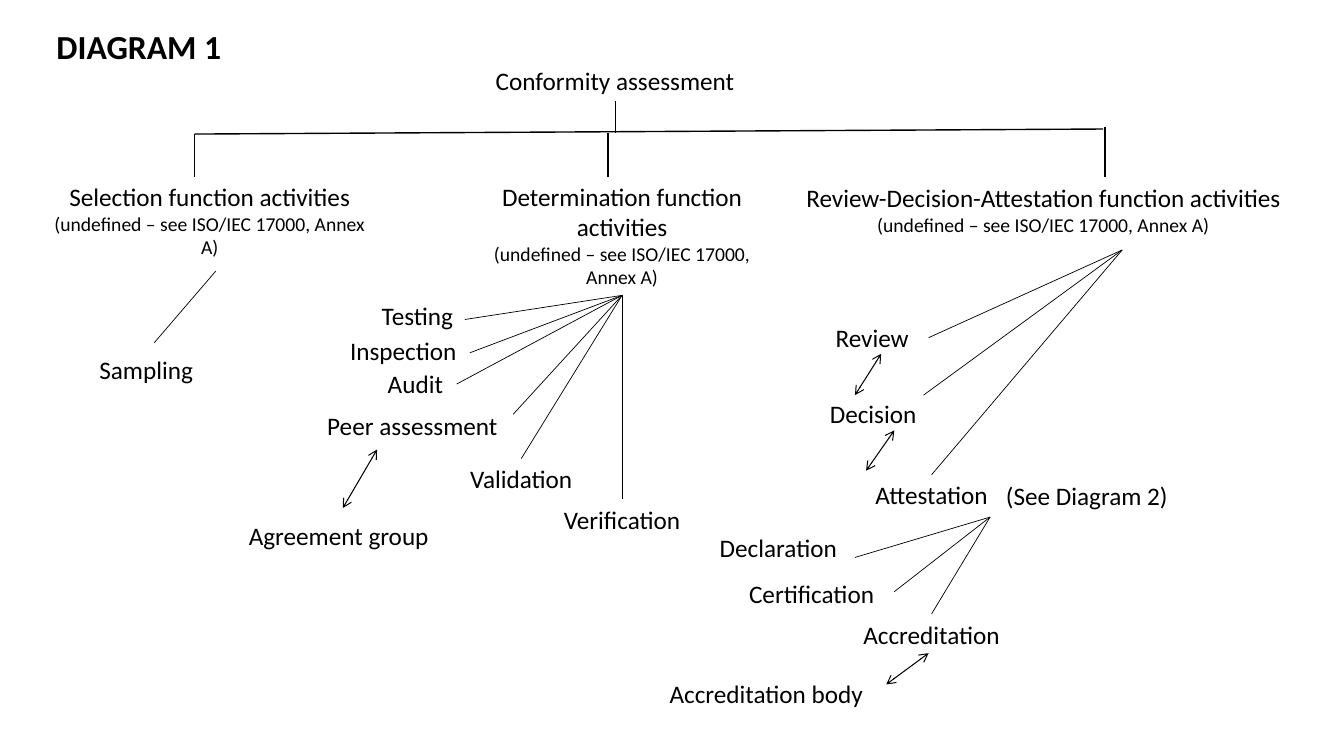
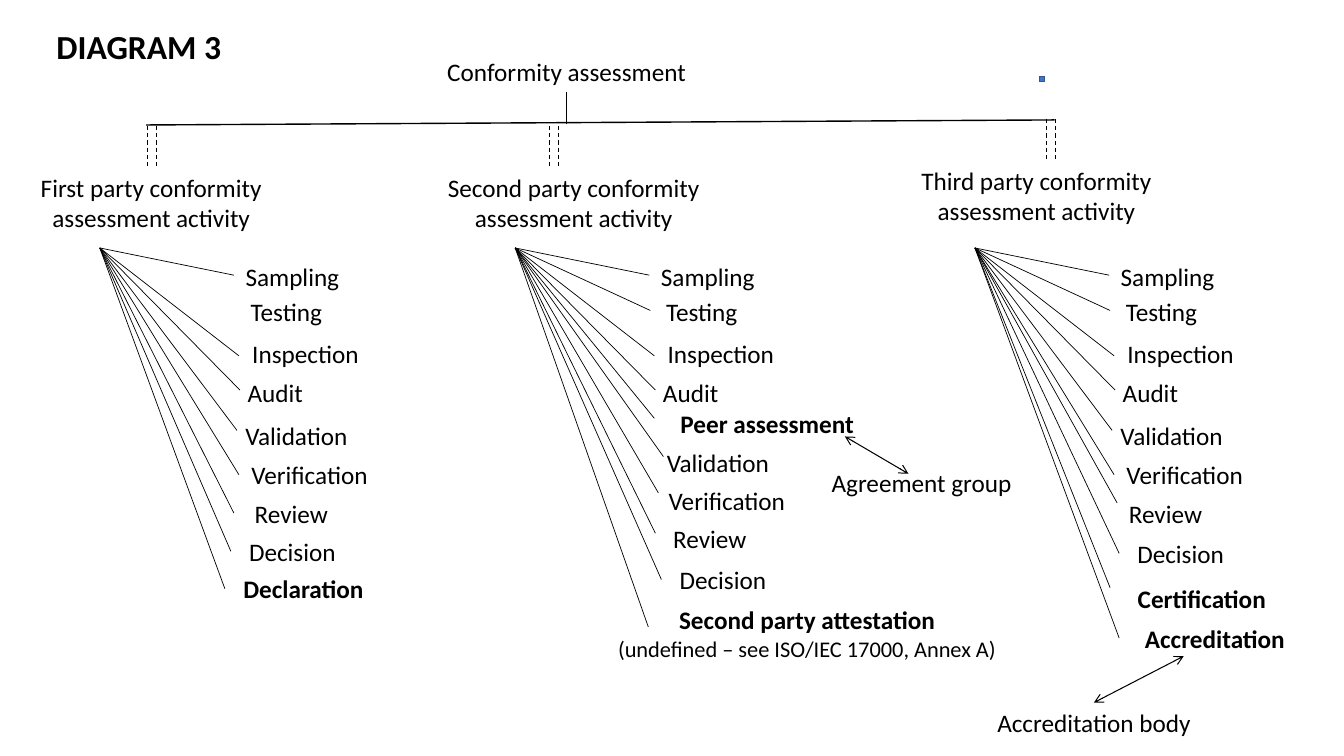
from collections import namedtuple

from lxml.etree import SubElement
from pptx import Presentation
from pptx.dml.color import RGBColor
from pptx.enum.dml import MSO_LINE
from pptx.enum.shapes import MSO_CONNECTOR, MSO_SHAPE
from pptx.enum.text import PP_ALIGN
from pptx.oxml.ns import qn
from pptx.util import Pt

PX = 9144
SLIDE_WIDTH, SLIDE_HEIGHT = 1333, 750
BLACK = RGBColor(0x00, 0x00, 0x00)
BLUE = RGBColor(0x44, 0x72, 0xC4)
DARK_BLUE = RGBColor(0x32, 0x54, 0x91)
FONT = "Calibri"
LABEL_WIDTH, LABEL_HEIGHT = 220, 40
HEADING_WIDTH = 300
THIN, MEDIUM, THICK = Pt(0.5), Pt(0.75), Pt(1)
NOTE = "(undefined – see ISO/IEC 17000, Annex A)"

# Centre, top and line end are measured from the hub of the fan.
Branch = namedtuple("Branch", "text centre top end width bold note",
                    defaults=(LABEL_WIDTH, False, None))

SELECTION = [Branch("Sampling", -69, 78, (-61, 71))]
DETERMINATION = [
    Branch("Testing", -203, 0, (-156, 24)),
    Branch("Inspection", -217, 35, (-151, 57)),
    Branch("Audit", -205, 68, (-164, 88)),
    Branch("Peer assessment", -208, 109, (-108, 118)),
    Branch("Validation", -100, 162, (-100, 162)),
    Branch("Verification", 0, 202, (0, 202)),
]
REVIEW = [
    Branch("Review", -248, 67, (-192, 87), 112),
    Branch("Decision", -247, 142, (-197, 144)),
    Branch("Attestation", -189, 223, (-189, 223)),
]
ATTESTATION = [
    Branch("Declaration", -210, 10, (-134, 40)),
    Branch("Certification", -177, 56, (-95, 74)),
    Branch("Accreditation", -58, 96, (-58, 96)),
]

SHARED_START = [
    Branch("Sampling", 191, 8, (133, 27)),
    Branch("Testing", 185, 43, (134, 62)),
    Branch("Inspection", 204, 85, (138, 107)),
    Branch("Audit", 174, 123, (139, 141)),
]
SHARED_CHECKS = [
    Branch("Validation", 195, 166, (136, 181)),
    Branch("Verification", 208, 205, (138, 225)),
]
FIRST_PARTY = SHARED_START + SHARED_CHECKS + [
    Branch("Review", 190, 243, (133, 263)),
    Branch("Decision", 191, 281, (130, 301)),
    Branch("Declaration", 202, 318, (124, 338), bold=True),
]
SECOND_PARTY = SHARED_START + [
    Branch("Peer assessment", 250, 154, (138, 169), bold=True),
    Branch("Validation", 201, 193, (147, 207)),
    Branch("Verification", 210, 231, (142, 243)),
    Branch("Review", 193, 268, (139, 283)),
    Branch("Decision", 206, 309, (145, 329)),
    Branch("Second party attestation", 289, 349, (132, 376), 413, True, (NOTE, 16)),
]
THIRD_PARTY = SHARED_START + SHARED_CHECKS + [
    Branch("Review", 189, 243, (141, 253)),
    Branch("Decision", 204, 283, (143, 303)),
    Branch("Certification", 225, 328, (134, 337), bold=True),
    Branch("Accreditation", 238, 367, (143, 387), bold=True),
]


def set_values(target, values):
    for name, value in values.items():
        setattr(target, name, value)


def write_paragraph(paragraph, text, size, bold=False, alignment=PP_ALIGN.CENTER):
    paragraph.alignment = alignment
    run = paragraph.add_run()
    run.text = text
    set_values(run.font, {"name": FONT, "size": Pt(size), "bold": bold})
    run.font.color.rgb = BLACK


def add_label(slide, text, centre, top, width=LABEL_WIDTH, height=LABEL_HEIGHT,
              bold=False, note=None):
    """Centre a label on a column; note is an optional (text, size) below it."""
    box = slide.shapes.add_textbox(
        (centre - width // 2) * PX, top * PX, width * PX, height * PX)
    box.text_frame.word_wrap = True
    write_paragraph(box.text_frame.paragraphs[0], text, 18, bold)
    if note:
        write_paragraph(box.text_frame.add_paragraph(), *note)
    return box


def side_middles(box):
    """Map the middle of each side to its connection site."""
    middle_x, middle_y = box.left + box.width // 2, box.top + box.height // 2
    return {
        (middle_x, box.top): 0,
        (box.left, middle_y): 1,
        (middle_x, box.top + box.height): 2,
        (box.left + box.width, middle_y): 3,
    }


def add_line(slide, start, end, weight=THIN, boxes=(), dashed=False, arrows=False):
    """Draw a line and join it to those boxes whose side middle it meets."""
    start, end = [(x * PX, y * PX) for x, y in (start, end)]
    connector = slide.shapes.add_connector(MSO_CONNECTOR.STRAIGHT, *start, *end)
    connector.line.width = weight
    connector.line.color.rgb = BLACK
    if dashed:
        connector.line.dash_style = MSO_LINE.DASH
    if arrows:
        for tag in ("a:headEnd", "a:tailEnd"):
            SubElement(connector.line._get_or_add_ln(), qn(tag), type="arrow")
    SubElement(connector._element.spPr, qn("a:effectLst"))
    for box in boxes:
        sites = side_middles(box)
        if start in sites:
            connector.begin_connect(box, sites[start])
        if end in sites:
            connector.end_connect(box, sites[end])


def add_double_arrow(slide, start, end, boxes=()):
    add_line(slide, start, end, MEDIUM, boxes, arrows=True)


def add_title(slide, text):
    box = slide.shapes.add_textbox(56 * PX, 25 * PX, 1202 * PX, 46 * PX)
    set_values(box.text_frame, {"margin_left": 0, "margin_right": 0, "word_wrap": True})
    paragraph = box.text_frame.paragraphs[0]
    paragraph.line_spacing = 0.9
    write_paragraph(paragraph, text, 24, True, PP_ALIGN.LEFT)


def add_root(slide, left, top):
    """Draw the root label, its stem and the slightly tilted bar below."""
    centre = left + 417
    label = add_label(slide, "Conformity assessment", centre, top, 350)
    add_line(slide, (centre, top + LABEL_HEIGHT), (centre, top + 72), boxes=[label])
    add_line(slide, (left, top + 73), (left + 901, top + 68), THICK)


def add_fan(slide, hub, branches, hub_box=None, unlinked=()):
    """Spread lines from a hub to labels placed relative to it."""
    hub_x, hub_y = hub
    for branch in branches:
        label = add_label(slide, branch.text, hub_x + branch.centre, hub_y + branch.top,
                          branch.width, LABEL_HEIGHT + 30 * bool(branch.note),
                          branch.bold, branch.note)
        if branch.text not in unlinked:
            end = (hub_x + branch.end[0], hub_y + branch.end[1])
            add_line(slide, hub, end, boxes=[box for box in (hub_box, label) if box])


def add_party_column(slide, hub, heading, heading_offset, drop_offset, branches,
                     unlinked=()):
    """Draw a double dashed drop, a heading and the fan below it."""
    hub_x, hub_y = hub
    centre, top = hub_x + heading_offset[0], hub_y + heading_offset[1]
    for x in (hub_x + drop_offset, hub_x + drop_offset + 9):
        add_line(slide, (x, top - 41), (x, top + 1), MEDIUM, dashed=True)
    add_label(slide, heading, centre, top, HEADING_WIDTH, 71)
    add_fan(slide, hub, branches, unlinked=unlinked)


def build_function_slide(slide):
    add_title(slide, "DIAGRAM 1")
    add_root(slide, 193, 60)
    for x, top in ((193, 133), (603, 132), (1096, 126)):
        add_line(slide, (x, top), (x, 176), THICK)

    note = (NOTE, 14)
    add_label(slide, "Selection function activities", 208, 175, 338, 88, note=note)
    determination = add_label(slide, "Determination function activities",
                              617, 175, 302, 118, note=note)
    add_label(slide, "Review-Decision-Attestation function activities",
              1035, 176, 536, 64, note=note)

    add_fan(slide, (214, 269), SELECTION)
    add_fan(slide, (617, 293), DETERMINATION, determination)
    add_fan(slide, (1113, 248), REVIEW)
    add_fan(slide, (982, 513), ATTESTATION)

    add_label(slide, "(See Diagram 2)", 1078, 472)
    add_label(slide, "Agreement group", 336, 511)
    add_label(slide, "Accreditation body", 760, 668)
    for start, end in (((374, 446), (340, 504)), ((874, 351), (848, 392)),
                       ((887, 427), (859, 467)), ((921, 648), (879, 679))):
        add_double_arrow(slide, start, end)


def build_party_slide(slide):
    add_title(slide, "DIAGRAM 3")
    add_root(slide, 145, 51)
    marker = slide.shapes.add_shape(MSO_SHAPE.RECTANGLE, 1031 * PX, 76 * PX, 5 * PX, 5 * PX)
    marker.shadow.inherit = False
    marker.fill.solid()
    marker.fill.fore_color.rgb = BLUE
    marker.line.color.rgb = DARK_BLUE
    marker.line.width = THICK

    add_party_column(slide, (99, 246), "First party conformity assessment activity",
                     (51, -80), 47, FIRST_PARTY, unlinked=("Testing",))
    add_party_column(slide, (511, 246), "Second party conformity assessment activity",
                     (58, -80), 34, SECOND_PARTY)
    add_party_column(slide, (967, 246), "Third party conformity assessment activity",
                     (61, -87), 71, THIRD_PARTY)

    add_label(slide, "Agreement group", 914, 459)
    add_double_arrow(slide, (838, 433), (901, 470))
    body = add_label(slide, "Accreditation body", 1085, 697)
    add_double_arrow(slide, (1174, 651), (1085, 697), [body])


def main():
    presentation = Presentation()
    set_values(presentation, {"slide_width": SLIDE_WIDTH * PX,
                              "slide_height": SLIDE_HEIGHT * PX})
    for build in (build_function_slide, build_party_slide):
        build(presentation.slides.add_slide(presentation.slide_layouts[6]))
    presentation.save("out.pptx")


if __name__ == "__main__":
    main()
